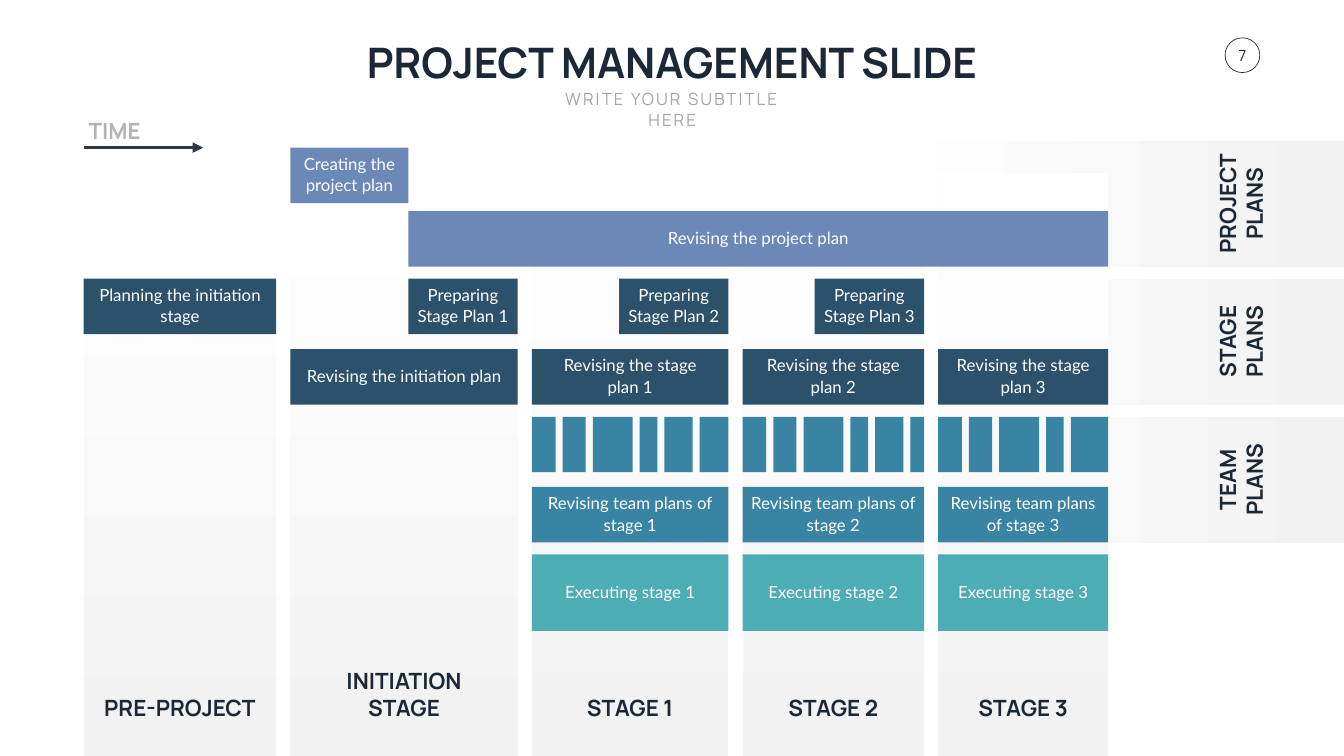
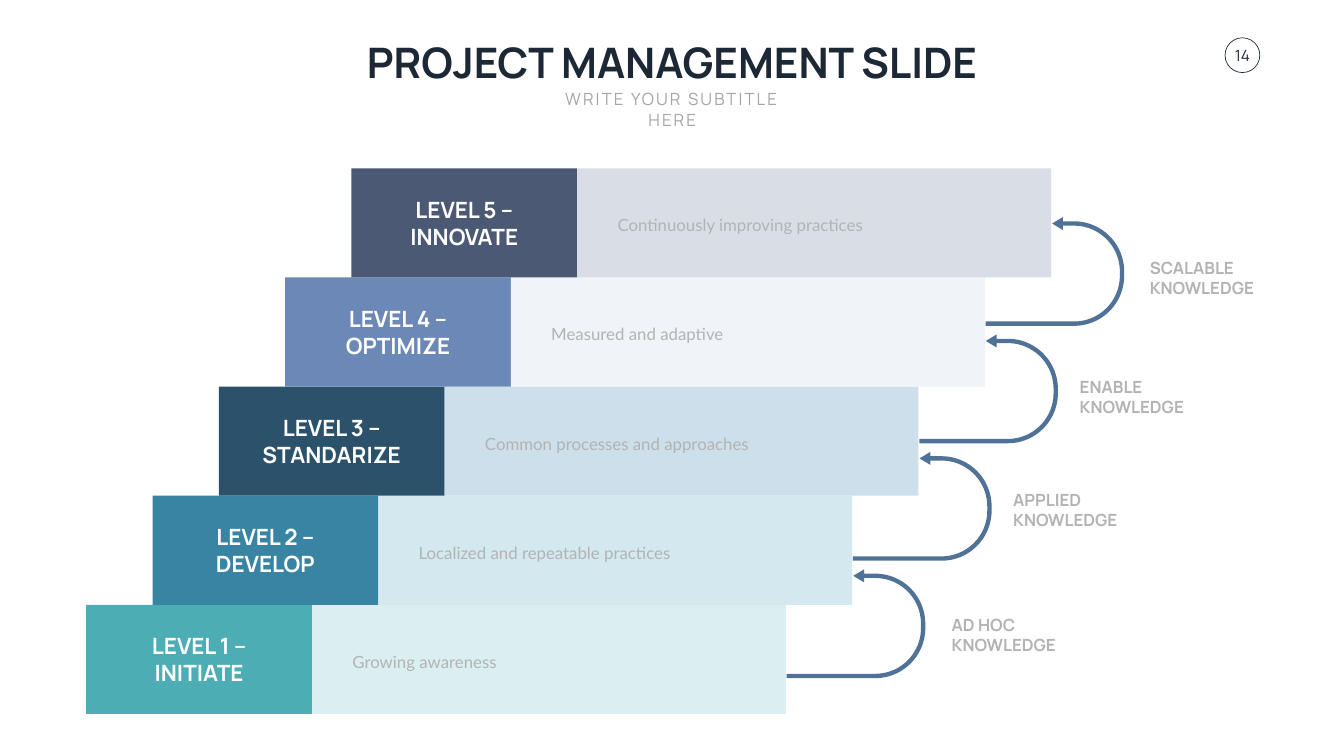
"""Build two project management slides: a stage plan and a maturity staircase."""
from dataclasses import dataclass
from itertools import accumulate

from lxml.etree import SubElement
from pptx import Presentation
from pptx.dml.color import RGBColor
from pptx.enum.shapes import MSO_CONNECTOR as Connector, MSO_SHAPE as Shape
from pptx.enum.text import MSO_ANCHOR as Anchor, PP_ALIGN as Align
from pptx.oxml.ns import qn
from pptx.util import Inches, Pt


@dataclass(frozen=True)
class Style:
    """Describe one kind of text."""
    font: str
    size: int
    color: str
    bold: bool = False
    line: int = 0
    before: int = 0
    tracking: int = 0


@dataclass(frozen=True)
class Theme:
    """Hold the colours and type styles of both slides."""
    ink: str = "1C2835"
    arrow: str = "303942"
    loop: str = "507297"
    fade: tuple = ("FFFFFF", "F2F2F2")
    aqua: str = "4DADB5"
    teal: str = "3984A3"
    navy: str = "2B526A"
    blue: str = "6C88B7"
    slate: str = "4C5974"
    title: Style = Style("Manrope", 60, "1C2835", True)
    subtitle: Style = Style("Manrope", 24, "A6A6A6", tracking=3)
    number: Style = Style("Manrope", 22, "1C2835")
    heading: Style = Style("Manrope", 32, "1C2835", True)
    time: Style = Style("Manrope", 32, "B3B3B3", True)
    level: Style = Style("Manrope", 32, "FFFFFF", True)
    knowledge: Style = Style("Manrope", 24, "B3B3B3", True)
    task: Style = Style("Lato", 24, "FFFFFF", line=26, before=5)
    practice: Style = Style("Lato", 24, "B3B3B3", line=35)


THEME = Theme()
WIDTH, HEIGHT = 26.66, 15
TITLE = "PROJECT MANAGEMENT SLIDE"
SUBTITLE = "WRITE YOUR SUBTITLE HERE"

MARGIN, GAP = 1.66, 0.28
COLUMNS = [
    ("PRE-PROJECT", 3.82, 3.89),
    ("INITIATION\nSTAGE", 4.51, 3.89),
    ("STAGE 1", 3.9, 3.44),
    ("STAGE 2", 3.6, 3.44),
    ("STAGE 3", 3.37, 3.44),
]
COLUMN_WIDTHS = [width for _, width, _ in COLUMNS]
COLUMN_LEFTS = list(accumulate((width + GAP for width in COLUMN_WIDTHS[:-1]), initial=MARGIN))
COLUMN_RIGHTS = [left + width for left, width in zip(COLUMN_LEFTS, COLUMN_WIDTHS)]

BANDS = ["PROJECT\nPLANS", "STAGE\nPLANS", "TEAM\nPLANS"]
BAND_LEFT, BAND_TOP, BAND_HEIGHT, BAND_STEP = 17.23, 2.79, 2.5, 2.74
BAND_LABEL_CENTER = 24.6
LABEL_HEIGHT, LABEL_BOTTOM = 1.18, 14.36

ROWS = {
    "create": (2.93, 1.1, THEME.blue),
    "project": (4.19, 1.1, THEME.blue),
    "prepare": (5.53, 1.1, THEME.navy),
    "stage": (6.93, 1.1, THEME.navy),
    "strips": (8.27, 1.1, THEME.teal),
    "team": (9.66, 1.1, THEME.teal),
    "execute": (11, 1.52, THEME.aqua),
}
PREPARE_WIDTH = 2.17
SPLIT = COLUMN_RIGHTS[1] - PREPARE_WIDTH
STRIP_STARTS, STRIP_GAP = (0, 0.61, 1.21, 2.14, 2.63, 3.33), 0.14

SPANNING_TASKS = [
    ("Creating the\nproject plan", "create", COLUMN_LEFTS[1], SPLIT),
    ("Revising the project plan", "project", SPLIT, COLUMN_RIGHTS[4]),
]
COLUMN_TASKS = [
    ("Planning the initiation\nstage", "prepare", 0),
    ("Revising the initiation plan", "stage", 1),
    ("Revising the stage\nplan 1", "stage", 2),
    ("Revising the stage\nplan 2", "stage", 3),
    ("Revising the stage\nplan 3", "stage", 4),
    ("Revising team plans of\nstage 1", "team", 2),
    ("Revising team plans of\nstage 2", "team", 3),
    ("Revising team plans\nof stage 3", "team", 4),
    ("Executing stage 1", "execute", 2),
    ("Executing stage 2", "execute", 3),
    ("Executing stage 3", "execute", 4),
]

LEVELS = [
    ("LEVEL 1 –\nINITIATE", "Growing awareness", THEME.aqua, "DBEFF0"),
    ("LEVEL 2 –\nDEVELOP", "Localized and repeatable practices", THEME.teal, "D4E8F0"),
    ("LEVEL 3 –\nSTANDARIZE", "Common processes and approaches", THEME.navy, "CCDFEA"),
    ("LEVEL 4 –\nOPTIMIZE", "Measured and adaptive", THEME.blue, "F0F3F8"),
    ("LEVEL 5 –\nINNOVATE", "Continuously improving practices", THEME.slate, "D9DDE6"),
]
LEVEL_LEFT, LEVEL_TOP = 1.71, 12
STEP_X, STEP_Y = 5.26 / 4, 8.66 / 4
LEVEL_WIDTH, PRACTICE_WIDTH, PRACTICE_INDENT = 4.48, 9.4, 0.8

KNOWLEDGE = [
    ("AD HOC\nKNOWLEDGE", 18.78, 12.14),
    ("APPLIED\nKNOWLEDGE", 20, 9.66),
    ("ENABLE\nKNOWLEDGE", 21.32, 7.42),
    ("SCALABLE\nKNOWLEDGE", 22.71, 5.05),
]
LOOP_LEFT, LOOP_TOP, LOOP_STEP = 15.9, 11, 2.33
LOOP_ADJUSTMENTS = (0.04, 0.06, 0.1, 0.46, 0.52)


def rgb(color):
    """Turn a hex string into a colour."""
    return RGBColor.from_string(color)


def inches(*lengths):
    """Turn lengths into EMU."""
    return [Inches(length) for length in lengths]


def write(shape, text, style, align=Align.CENTER, anchor=Anchor.MIDDLE):
    """Write one paragraph per line of text into a shape."""
    frame = shape.text_frame
    frame.word_wrap = True
    frame.vertical_anchor = anchor
    frame.text = text
    for index, paragraph in enumerate(frame.paragraphs):
        paragraph.alignment = align
        if style.line:
            paragraph.line_spacing = Pt(style.line)
        if index and style.before:
            paragraph.space_before = Pt(style.before)
        font = paragraph.font
        font.name, font.size, font.bold = style.font, Pt(style.size), style.bold
        font.color.rgb = rgb(style.color)
        if style.tracking:
            for run in paragraph.runs:
                run._r.get_or_add_rPr().set("spc", str(style.tracking * 100))


def add_text(slide, box, text, style, **layout):
    """Add a text box."""
    shape = slide.shapes.add_textbox(*inches(*box))
    write(shape, text, style, **layout)
    return shape


def add_block(slide, box, color=None, kind=Shape.RECTANGLE):
    """Add a flat shape without an outline."""
    shape = slide.shapes.add_shape(kind, *inches(*box))
    shape.shadow.inherit = False
    shape.line.fill.background()
    if color:
        shape.fill.solid()
        shape.fill.fore_color.rgb = rgb(color)
    return shape


def add_fade(slide, box, angle):
    """Add a rectangle that fades from white to grey."""
    fill = add_block(slide, box).fill
    fill.gradient()
    fill.gradient_angle = angle
    for position, (stop, color) in enumerate(zip(fill.gradient_stops, THEME.fade)):
        stop.position = position
        stop.color.rgb = rgb(color)


def add_slide(presentation, number):
    """Add a slide with its title, subtitle and number badge."""
    slide = presentation.slides.add_slide(presentation.slide_layouts[5])
    title = slide.shapes.title
    title.left, title.top, title.width, title.height = inches(6.97, 0.67, 12.72, 1.11)
    write(title, TITLE, THEME.title, anchor=Anchor.TOP)
    add_text(slide, (10.62, 1.72, 5.43, 0.5), SUBTITLE, THEME.subtitle, anchor=Anchor.TOP)
    badge = add_block(slide, (24.3, 0.75, 0.69, 0.69), kind=Shape.OVAL)
    badge.fill.background()
    badge.line.color.rgb = rgb(THEME.ink)
    badge.line.width = Pt(1)
    frame = badge.text_frame
    frame.margin_left = frame.margin_right = frame.margin_top = frame.margin_bottom = 0
    write(badge, str(number), THEME.number)
    return slide


def add_task(slide, text, row, left, right):
    """Add a task bar to a row, from one edge to another."""
    top, height, color = ROWS[row]
    bar = add_block(slide, (left, top, right - left, height), color)
    if text:
        write(bar, text, THEME.task)


def add_time_arrow(slide):
    """Add the time label and its arrow."""
    arrow = slide.shapes.add_connector(Connector.STRAIGHT, *inches(MARGIN, 2.93, 4.03, 2.93))
    arrow.line.color.rgb = rgb(THEME.arrow)
    arrow.line.width = Pt(5)
    SubElement(arrow.line._get_or_add_ln(), qn("a:tailEnd"), type="triangle")
    SubElement(arrow._element.spPr, qn("a:effectLst"))
    add_text(slide, (MARGIN, 2.28, 1.4, 0.64), "TIME", THEME.time, align=Align.LEFT)


def build_stage_plan(presentation):
    """Build the plan of tasks by stage and planning level."""
    slide = add_slide(presentation, 7)
    band_tops = [BAND_TOP + index * BAND_STEP for index in range(len(BANDS))]
    for top in band_tops:
        add_fade(slide, (BAND_LEFT, top, WIDTH - BAND_LEFT, BAND_HEIGHT), 0)
    for (label, width, top), left in zip(COLUMNS, COLUMN_LEFTS):
        add_fade(slide, (left, top, width, HEIGHT - top), 270)
        box = (left, LABEL_BOTTOM - LABEL_HEIGHT, width, LABEL_HEIGHT)
        add_text(slide, box, label, THEME.heading, anchor=Anchor.BOTTOM)
    for label, top in zip(BANDS, band_tops):
        box = (BAND_LABEL_CENTER - BAND_HEIGHT / 2, top + (BAND_HEIGHT - LABEL_HEIGHT) / 2,
               BAND_HEIGHT, LABEL_HEIGHT)
        add_text(slide, box, label, THEME.heading, anchor=Anchor.BOTTOM).rotation = 270
    for task in SPANNING_TASKS:
        add_task(slide, *task)
    for text, row, column in COLUMN_TASKS:
        add_task(slide, text, row, COLUMN_LEFTS[column], COLUMN_RIGHTS[column])
    for plan, right in enumerate(COLUMN_RIGHTS[1:4], 1):
        add_task(slide, f"Preparing\nStage Plan {plan}", "prepare", right - PREPARE_WIDTH, right)
    for left, right in zip(COLUMN_LEFTS[2:], COLUMN_RIGHTS[2:]):
        starts = [left + start for start in STRIP_STARTS if left + start + STRIP_GAP < right]
        ends = [start - STRIP_GAP for start in starts[1:]] + [right]
        for start, end in zip(starts, ends):
            add_task(slide, "", "strips", start, end)
    add_time_arrow(slide)


def build_staircase(presentation):
    """Build the staircase of maturity levels."""
    slide = add_slide(presentation, 14)
    for index, (name, practice, color, tint) in enumerate(LEVELS):
        left, top = LEVEL_LEFT + index * STEP_X, LEVEL_TOP - index * STEP_Y
        write(add_block(slide, (left, top, LEVEL_WIDTH, STEP_Y), color), name, THEME.level)
        pale = add_block(slide, (left + LEVEL_WIDTH, top, PRACTICE_WIDTH, STEP_Y), tint)
        pale.text_frame.margin_left = Inches(PRACTICE_INDENT)
        write(pale, practice, THEME.practice, align=Align.LEFT)
    for index, (label, left, top) in enumerate(KNOWLEDGE):
        box = (LOOP_LEFT + index * STEP_X, LOOP_TOP - index * LOOP_STEP, 2.16, 2.75)
        loop = add_block(slide, box, THEME.loop, Shape.U_TURN_ARROW)
        for position, value in enumerate(LOOP_ADJUSTMENTS):
            loop.adjustments[position] = value
        loop.rotation = 90
        loop._element.spPr.find(qn("a:xfrm")).set("flipH", "1")
        add_text(slide, (left, top, 2.5, 0.91), label, THEME.knowledge, align=Align.LEFT)


def main():
    """Build and save the presentation."""
    presentation = Presentation()
    presentation.slide_width, presentation.slide_height = inches(WIDTH, HEIGHT)
    build_stage_plan(presentation)
    build_staircase(presentation)
    presentation.save("out.pptx")


if __name__ == "__main__":
    main()
